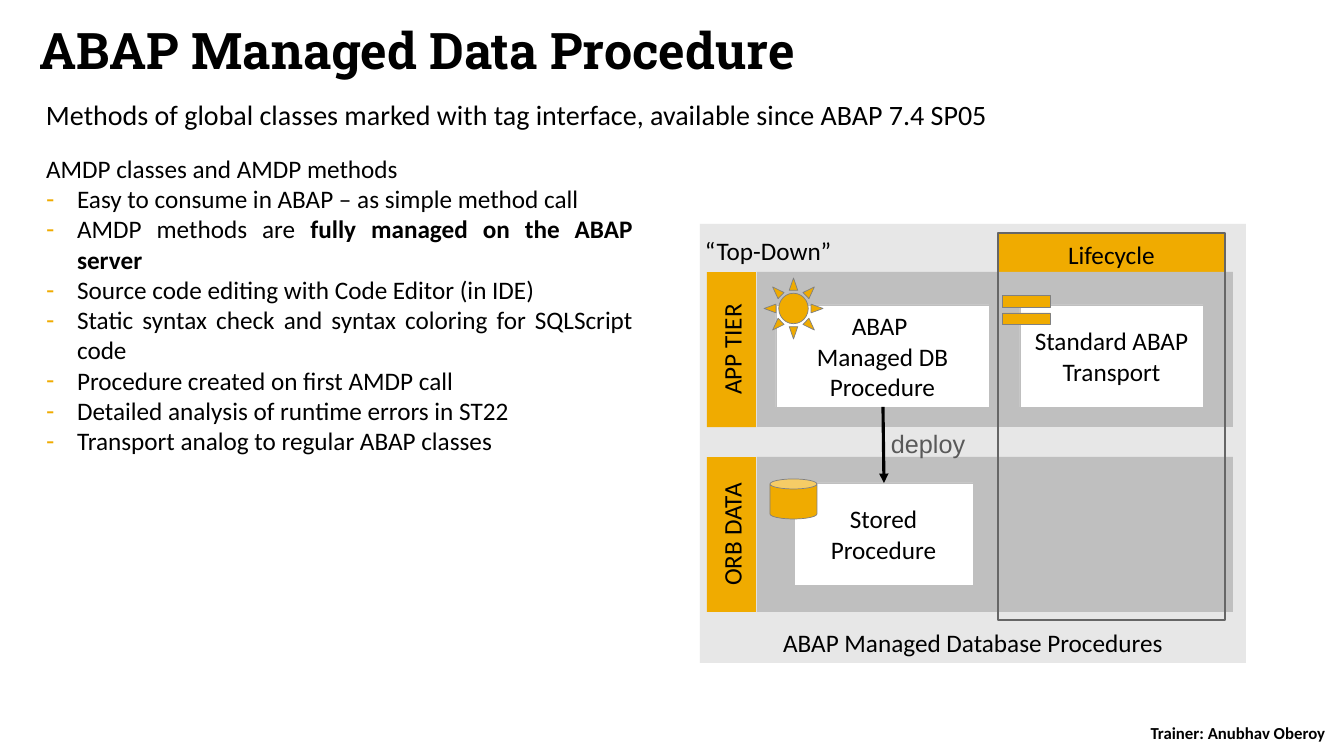
"""Builds the slide on ABAP managed data procedures."""
from lxml.etree import SubElement
from pptx import Presentation
from pptx.dml.color import RGBColor
from pptx.enum.shapes import MSO_CONNECTOR, MSO_SHAPE
from pptx.enum.text import MSO_ANCHOR, MSO_AUTO_SIZE, PP_ALIGN
from pptx.oxml.ns import qn
from pptx.util import Emu, Pt

GOLD, GRAY, WHITE, BLACK = "F0AB00", "BFBFBF", "FFFFFF", "000000"
POINTS = [
    [("Easy to consume in ABAP – as simple method call", False)],
    [("AMDP methods are ", False), ("fully managed on the ABAP server", True)],
    [("Source code editing with Code Editor (in IDE)", False)],
    [("Static syntax check and syntax coloring for SQLScript code", False)],
    [("Procedure created on first AMDP call", False)],
    [("Detailed analysis of runtime errors in ST22", False)],
    [("Transport analog to regular ABAP classes", False)],
]


def px(length):
    """Turn a length in pixels into EMU."""
    return Emu(round(length * 914400 / 100.8))


def color(code):
    """Turn a hex string into a colour."""
    return RGBColor.from_string(code)


def add_span(para, text, size=18, font="Calibri", shade=BLACK, bold=False):
    """Add one formatted run to a paragraph."""
    span = para.add_run()
    span.text = text
    span.font.size = Pt(size)
    span.font.name = font
    span.font.bold = bold
    span.font.color.rgb = color(shade)


def set_frame(shape, anchor, inset=None, wrap=True):
    """Set anchor, wrapping and margins of a text frame and return it."""
    frame = shape.text_frame
    frame.auto_size = MSO_AUTO_SIZE.NONE
    frame.word_wrap = wrap
    frame.vertical_anchor = anchor
    if inset is not None:
        frame.margin_left = frame.margin_right = px(inset)
        frame.margin_top = frame.margin_bottom = px(min(inset, 8))
    return frame


def place(shape, left, top, width, height):
    """Move and size a placeholder."""
    shape.left, shape.top = px(left), px(top)
    shape.width, shape.height = px(width), px(height)


def add_label(page, area, text, anchor=MSO_ANCHOR.TOP, align=PP_ALIGN.LEFT,
              inset=0, wrap=True, **style):
    """Add a text box with one paragraph."""
    box = page.shapes.add_textbox(*map(px, area))
    para = set_frame(box, anchor, inset, wrap).paragraphs[0]
    para.alignment = align
    add_span(para, text, **style)


def add_block(page, area, fill=None, line=None, weight=0.5, text="",
              kind=MSO_SHAPE.RECTANGLE, anchor=MSO_ANCHOR.MIDDLE, inset=8):
    """Add a preset shape with optional fill, outline and centred text."""
    shape = page.shapes.add_shape(kind, *map(px, area))
    shape.shadow.inherit = False
    if fill:
        shape.fill.solid()
        shape.fill.fore_color.rgb = color(fill)
    else:
        shape.fill.background()
    if line:
        shape.line.color.rgb = color(line)
        shape.line.width = Pt(weight)
    else:
        shape.line.fill.background()
    if text:
        para = set_frame(shape, anchor, inset).paragraphs[0]
        para.alignment = PP_ALIGN.CENTER
        for index, part in enumerate(text.split("\n")):
            if index:
                para.add_line_break()
            add_span(para, part)
    return shape


def add_arrow(page, start, end):
    """Add a black line with an arrowhead at its end."""
    arrow = page.shapes.add_connector(MSO_CONNECTOR.STRAIGHT, *map(px, start + end))
    arrow.line.color.rgb = color(BLACK)
    arrow.line.width = Pt(2.25)
    SubElement(arrow.line._get_or_add_ln(), qn("a:tailEnd"), type="triangle")
    SubElement(arrow._element.spPr, qn("a:effectLst"))


def add_item(para, spans, indent, bullet=None):
    """Fill a justified list paragraph with a hanging indent."""
    props = para._p.get_or_add_pPr()
    props.set("marL", str(px(indent)))
    props.set("indent", str(-px(indent)))
    para.alignment = PP_ALIGN.JUSTIFY
    para.space_before = Pt(0)
    if bullet:
        SubElement(SubElement(props, qn("a:buClr")), qn("a:srgbClr"), val=GOLD)
        SubElement(props, qn("a:buChar"), char=bullet)
    else:
        SubElement(props, qn("a:buNone"))
    for text, bold in spans:
        add_span(para, text, bold=bold)


def fill_text(page):
    """Fill the title, the lead line, the list and the trainer line."""
    title, body = page.placeholders
    place(title, 29, 21, 1245, 79)
    para = set_frame(title, MSO_ANCHOR.TOP).paragraphs[0]
    para.alignment = PP_ALIGN.LEFT
    para.line_spacing = 0.9
    add_span(para, "ABAP Managed Data Procedure", 36, "Roboto Slab", bold=True)

    place(body, 36, 149, 607, 311)
    frame = set_frame(body, MSO_ANCHOR.MIDDLE)
    add_item(frame.paragraphs[0], [("AMDP classes and AMDP methods", False)], 20)
    for spans in POINTS:
        add_item(frame.add_paragraph(), spans, 31, "-")

    add_label(page, (36, 92, 1274, 44),
              "Methods of global classes marked with tag interface, "
              "available since ABAP 7.4 SP05",
              anchor=MSO_ANCHOR.MIDDLE, inset=10, size=20)
    add_label(page, (1132, 722, 212, 22), "Trainer: Anubhav Oberoy",
              anchor=MSO_ANCHOR.MIDDLE, align=PP_ALIGN.CENTER, size=12, bold=True)


def draw_diagram(page):
    """Draw the two system layers, their boxes and the lifecycle column."""
    panel = add_block(page, (700, 224, 546, 439), GRAY, anchor=MSO_ANCHOR.BOTTOM,
                      text="ABAP Managed Database Procedures", inset=5)
    tint = panel._element.spPr.find(qn("a:solidFill"))[0]
    SubElement(tint, qn("a:alpha"), val="36000")
    add_label(page, (705, 235, 134, 30), "“Top-Down”", wrap=False)
    add_block(page, (998, 233, 227, 42), GOLD, text="Lifecycle", inset=0)

    for row, name in enumerate(["APP TIER", "ORB DATA"]):
        top = 272 + 185 * row
        add_block(page, (757, top, 476, 155), GRAY)
        label = add_block(page, (654, top + 53, 155, 49), GOLD, text=name)
        label.rotation = 270

    for left, top, width, text in [
        (776, 305, 213, "ABAP \nManaged DB Procedure"),
        (1020, 305, 183, "Standard ABAP Transport"),
        (794, 483, 179, "Stored Procedure"),
    ]:
        add_block(page, (left, top, width, 102), WHITE, GRAY, text=text)

    for kind, area in [
        (MSO_SHAPE.SUN, (764, 278, 59, 61)),
        (MSO_SHAPE.MATH_EQUAL, (994, 285, 65, 50)),
        (MSO_SHAPE.CAN, (770, 479, 47, 40)),
    ]:
        add_block(page, area, GOLD, "808080", kind=kind)

    add_arrow(page, (883, 407), (884, 483))
    add_label(page, (891, 428, 85, 28), "deploy", font="Arial", shade="595959")
    add_block(page, (998, 233, 227, 387), line="666666", weight=1)


def main():
    """Build and save the deck."""
    deck = Presentation()
    deck.slide_width, deck.slide_height = px(1344), px(756)
    page = deck.slides.add_slide(deck.slide_layouts[1])
    fill_text(page)
    draw_diagram(page)
    deck.save("out.pptx")


if __name__ == "__main__":
    main()
